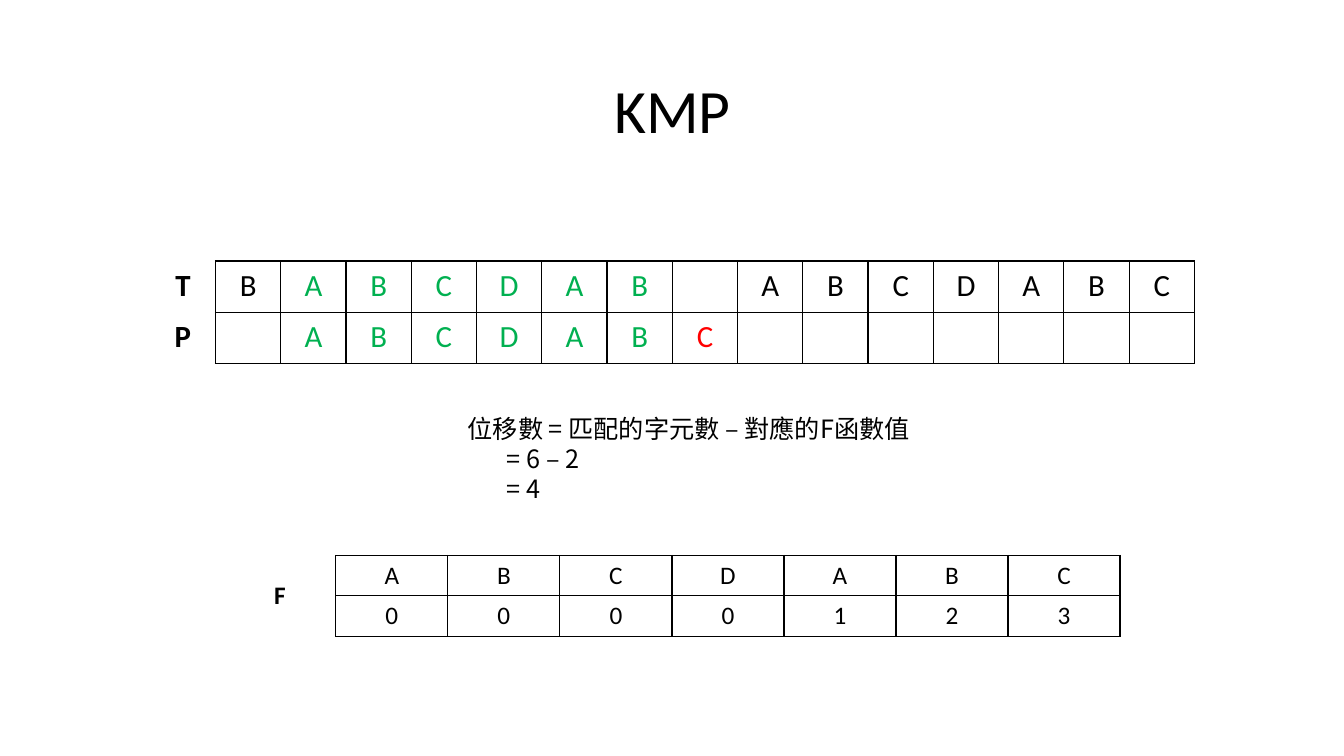
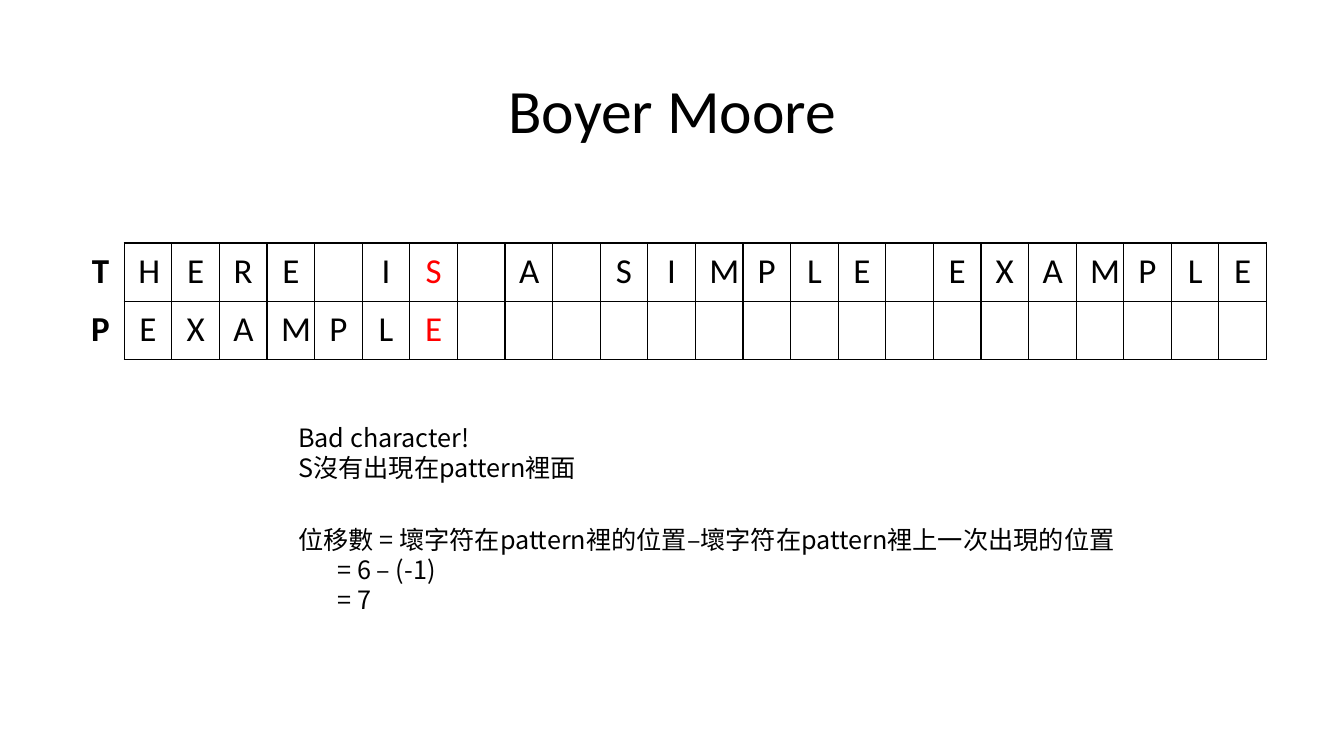
from dataclasses import dataclass

from lxml.etree import SubElement
from pptx import Presentation
from pptx.dml.color import RGBColor
from pptx.enum.text import MSO_ANCHOR as Anchor, PP_ALIGN as Align
from pptx.oxml.ns import qn
from pptx.util import Inches, Pt

BLACK, GREEN, RED = "000000", "00B050", "FF0000"
MARK_COLOURS = {"-": BLACK, "g": GREEN, "r": RED}
LATIN_FONT, CHINESE_FONT = "Calibri", "Noto Sans CJK SC"
EDGES = ("lnL", "lnR", "lnT", "lnB")


@dataclass(frozen=True)
class LetterGrid:
    left: float
    top: float
    width: float
    row_height: float
    size: int
    labels: tuple[str, ...]
    rows: tuple[str, ...]
    marks: str = ""
    margins: tuple[float, float] = (0.1, 0.05)


@dataclass(frozen=True)
class Note:
    left: float
    top: float
    width: float
    height: float
    lines: tuple[str, ...]


@dataclass(frozen=True)
class Page:
    title: str
    grids: tuple[LetterGrid, ...]
    notes: tuple[Note, ...]


PAGES = (
    Page(
        "KMP",
        (
            LetterGrid(1.49, 2.59, 10.36, 0.51, 22, ("T", "P"),
                       ("BABCDAB ABCDABC", " ABCDABC"), "-ggggggr", (0.13, 0.06)),
            LetterGrid(2.22, 5.51, 8.89, 0.4, 18, ("F",), ("ABCDABC", "0000123")),
        ),
        (Note(4.54, 4.05, 5, 1.01,
              ("位移數 = 匹配的字元數 – 對應的F函數值", "= 6 – 2", "= 4")),),
    ),
    Page(
        "Boyer Moore",
        (
            LetterGrid(0.76, 2.41, 11.81, 0.58, 25, ("T", "P"),
                       ("HERE IS A SIMPLE EXAMPLE", "EXAMPLE"), "------r", (0.14, 0.07)),
        ),
        (
            Note(2.86, 4.14, 2.98, 0.71, ("Bad character!", "S沒有出現在pattern裡面")),
            Note(2.86, 5.15, 8.91, 1.01,
                 ("位移數 = 壞字符在pattern裡的位置–壞字符在pattern裡上一次出現的位置",
                  "= 6 – (-1)", "= 7")),
        ),
    ),
)


def colour(value: str) -> RGBColor:
    return RGBColor.from_string(value)


def add_span(para, text: str, size: int, font: str = LATIN_FONT,
             tint: str = BLACK, bold: bool = False) -> None:
    span = para.add_run()
    span.text = text
    span.font.size = Pt(size)
    span.font.name = font
    span.font.bold = bold
    span.font.color.rgb = colour(tint)
    SubElement(span.font._element, qn("a:ea"), typeface=font)


def add_box(slide, left: float, top: float, width: float, height: float):
    box = slide.shapes.add_textbox(Inches(left), Inches(top), Inches(width), Inches(height))
    box.text_frame.word_wrap = True
    return box.text_frame


def add_title(slide, title: str) -> None:
    frame = add_box(slide, 0.92, 0.4, 11.5, 1.45)
    frame.vertical_anchor = Anchor.MIDDLE
    para = frame.paragraphs[0]
    para.alignment = Align.CENTER
    para.line_spacing = 0.9
    add_span(para, title, 44)


def set_borders(cell, visible: tuple[str, ...]) -> None:
    properties = cell._tc.get_or_add_tcPr()
    for edge in EDGES:
        line = SubElement(properties, qn(f"a:{edge}"), w=str(Pt(1)))
        if edge in visible:
            fill = SubElement(line, qn("a:solidFill"))
            SubElement(fill, qn("a:srgbClr"), val=BLACK)
        else:
            SubElement(line, qn("a:noFill"))


def add_letter(cell, letter: str, size: int, tint: str, bold: bool) -> None:
    if letter.strip():
        para = cell.text_frame.paragraphs[0]
        para.alignment = Align.CENTER
        add_span(para, letter, size, tint=tint, bold=bold)


def add_grid(slide, grid: LetterGrid) -> None:
    letters = max(map(len, grid.rows))
    row_count = len(grid.rows)
    table = slide.shapes.add_table(
        row_count, letters + 1, Inches(grid.left), Inches(grid.top),
        Inches(grid.width), Inches(grid.row_height * row_count)).table
    table.first_row = table.horz_banding = False
    for column in table.columns:
        column.width = Inches(grid.width / (letters + 1))
    marks = "-" + grid.marks.ljust(letters, "-")
    for row_index, text in enumerate(grid.rows):
        table.rows[row_index].height = Inches(grid.row_height)
        label = grid.labels[row_index] if row_index < len(grid.labels) else " "
        for column_index, letter in enumerate(label + text.ljust(letters)):
            cell = table.cell(row_index, column_index)
            is_label = column_index == 0
            cell.margin_left = cell.margin_right = Inches(grid.margins[0])
            cell.margin_top = cell.margin_bottom = Inches(grid.margins[1])
            set_borders(cell, ("lnR",) if is_label else EDGES)
            cell.fill.background()
            add_letter(cell, letter, grid.size, MARK_COLOURS[marks[column_index]], is_label)
    if len(grid.labels) < row_count:
        label_cell = table.cell(0, 0)
        label_cell.merge(table.cell(row_count - 1, 0))
        label_cell.vertical_anchor = Anchor.MIDDLE


def add_note(slide, note: Note) -> None:
    frame = add_box(slide, note.left, note.top, note.width, note.height)
    for index, line in enumerate(note.lines):
        para = frame.add_paragraph() if index else frame.paragraphs[0]
        if line.startswith("="):
            para._p.get_or_add_pPr().set("marL", str(Inches(0.39)))
        add_span(para, line, 18, CHINESE_FONT)


def main() -> None:
    deck = Presentation()
    deck.slide_width, deck.slide_height = Inches(13.33), Inches(7.5)
    for page in PAGES:
        slide = deck.slides.add_slide(deck.slide_layouts[6])
        add_title(slide, page.title)
        for grid in page.grids:
            add_grid(slide, grid)
        for note in page.notes:
            add_note(slide, note)
    deck.save("out.pptx")


if __name__ == "__main__":
    main()
